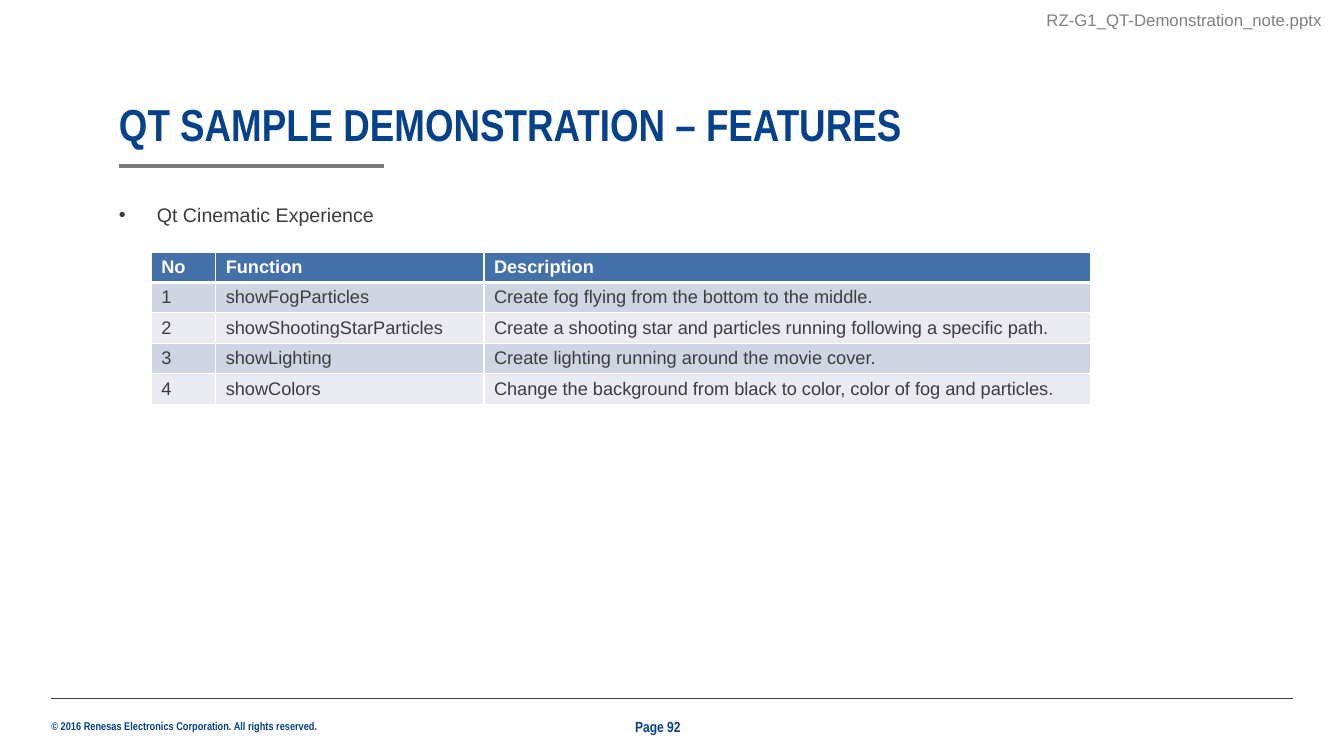
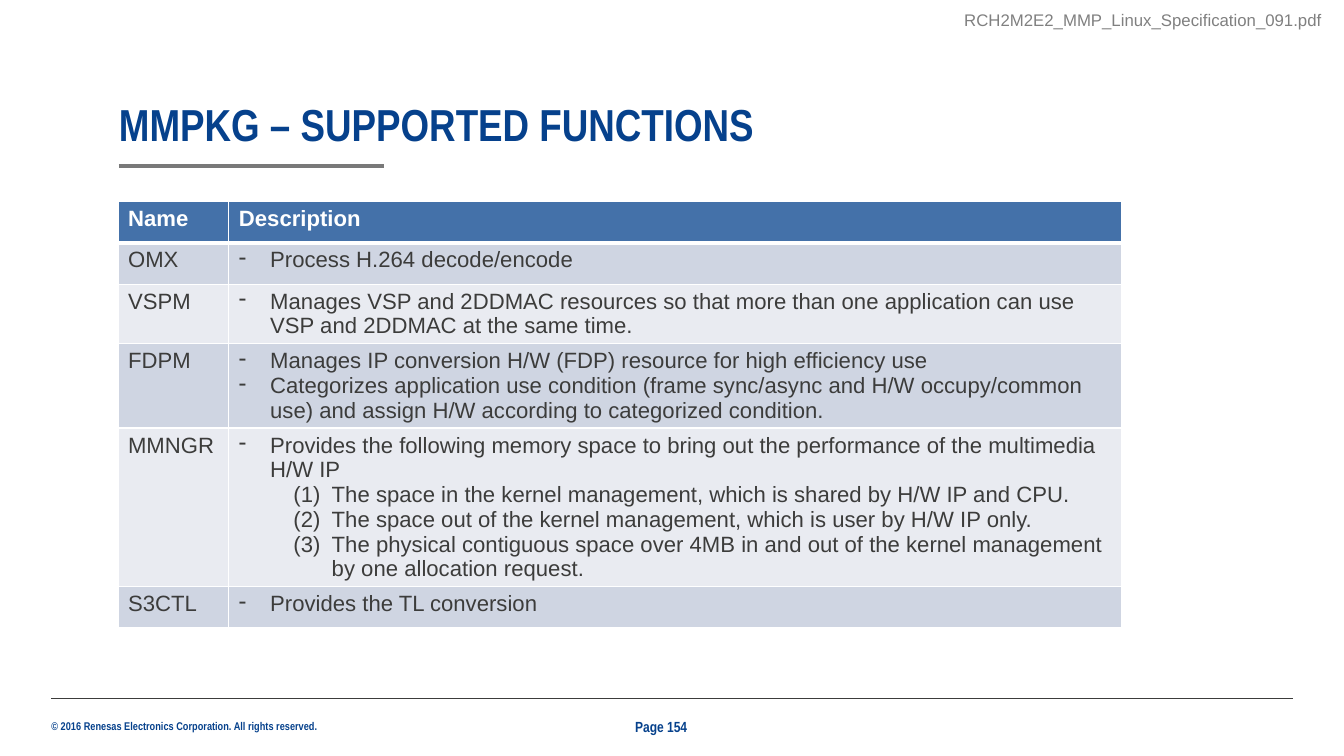
import dataclasses
import pptx
import pptx.dml.color
import pptx.enum.shapes
import pptx.enum.text
import pptx.oxml
import pptx.oxml.ns
import pptx.util
from lxml import etree

ALIGN = pptx.enum.text.PP_ALIGN
ANCHOR = pptx.enum.text.MSO_ANCHOR
EMU_PER_PX = 9144


def px(length):
    return pptx.util.Emu(length * EMU_PER_PX)


def rgb(color):
    return pptx.dml.color.RGBColor.from_string(color)


def add_element(parent, tag, **attributes):
    return etree.SubElement(parent, pptx.oxml.ns.qn(tag), attributes)


@dataclasses.dataclass(frozen=True)
class TextStyle:
    size: float
    color: str
    face: str = "Arial"
    bold: bool = False


@dataclasses.dataclass(frozen=True)
class Theme:
    white: str = "FFFFFF"
    ink: str = "3C3C3B"
    accent: str = "797979"
    header_fill: str = "4471A9"
    band_fills: tuple = ("CFD5E2", "E9EBF1")
    title: TextStyle = TextStyle(32, "06418C", "Arial Narrow", True)
    page: TextStyle = TextStyle(10.5, "06418C", "Arial Narrow", True)
    copyright: TextStyle = TextStyle(8, "06418C", "Arial Narrow", True)
    source: TextStyle = TextStyle(12, "808080")
    body: TextStyle = TextStyle(14, "3C3C3B")


@dataclasses.dataclass(frozen=True)
class Item:
    text: str
    numbered: bool = False


class Deck:
    def __init__(self, theme):
        self.theme = theme
        self.presentation = pptx.Presentation()
        self.presentation.slide_width = px(1333)
        self.presentation.slide_height = px(750)
        self.slide = None

    def start_slide(self, title, page, source, layout):
        layouts = self.presentation.slide_layouts
        self.slide = self.presentation.slides.add_slide(layouts.get_by_name(layout))
        self.text("© 2016 Renesas Electronics Corporation. All rights reserved.",
                  (51, 714, 268, 13), self.theme.copyright, wrap=False)
        self.line((51, 693), (1282, 693), self.theme.ink, 0.5)
        self.line((118, 165), (381, 165), self.theme.accent, 3)
        self.title(title)
        self.text(f"Page {page}", (630, 712, 73, 18), self.theme.page,
                  anchor=ANCHOR.MIDDLE)
        self.text(source, (483, 5, 838, 30), self.theme.source,
                  insets=(10, 5), align=ALIGN.RIGHT)

    def style_paragraph(self, para, style):
        font = para.font
        font.name = style.face
        font.size = pptx.util.Pt(style.size)
        font.bold = style.bold
        font.color.rgb = rgb(style.color)

    def fill_box(self, box, text, bounds, style, insets=(0, 0),
                 anchor=ANCHOR.TOP, align=ALIGN.LEFT, wrap=True):
        box.left, box.top, box.width, box.height = map(px, bounds)
        frame = box.text_frame
        frame.word_wrap = wrap
        frame.auto_size = pptx.enum.text.MSO_AUTO_SIZE.NONE
        frame.vertical_anchor = anchor
        frame.margin_left = frame.margin_right = px(insets[0])
        frame.margin_top = frame.margin_bottom = px(insets[1])
        frame.text = text
        para = frame.paragraphs[0]
        para.alignment = align
        self.style_paragraph(para, style)
        return para

    def text(self, text, bounds, style, **options):
        box = self.slide.shapes.add_textbox(*map(px, bounds))
        self.fill_box(box, text, bounds, style, **options)

    def title(self, text):
        para = self.fill_box(self.slide.shapes.title, text, (118, 102, 932, 48),
                             self.theme.title, anchor=ANCHOR.BOTTOM)
        para.line_spacing = 0.9

    def body(self, text):
        box = self.slide.placeholders[1]
        box.text_frame.text = text
        properties = box.text_frame.paragraphs[0]._p.get_or_add_pPr()
        properties.set("marL", "0")
        properties.set("indent", "0")
        add_element(properties, "a:buNone")
        para = self.fill_box(box, text, (118, 197, 984, 26), self.theme.body)
        para.line_spacing = 1.2
        para.space_before = pptx.util.Pt(0)
        para.space_after = pptx.util.Pt(18)

    def line(self, start, end, color, width):
        connector = self.slide.shapes.add_connector(
            pptx.enum.shapes.MSO_CONNECTOR.STRAIGHT, *map(px, start + end))
        connector.line.color.rgb = rgb(color)
        connector.line.width = pptx.util.Pt(width)
        add_element(connector._element.spPr, "a:effectLst")

    def cell_borders(self, cell, row):
        properties = cell._tc.get_or_add_tcPr()
        widths = {"L": 1, "R": 1, "T": 3 if row == 1 else 1, "B": 3 if row == 0 else 1}
        for side, width in widths.items():
            border = add_element(properties, f"a:ln{side}", w=str(pptx.util.Pt(width)))
            fill = add_element(border, "a:solidFill")
            add_element(fill, "a:srgbClr", val=self.theme.white)

    def bullet(self, para, numbered):
        margin, hanging = (92, 38) if numbered else (31, 31)
        para.level = int(numbered)
        properties = para._p.get_or_add_pPr()
        properties.set("marL", str(px(margin)))
        properties.set("indent", str(px(-hanging)))
        if numbered:
            add_element(properties, "a:buAutoNum", type="arabicParenBoth")
        else:
            add_element(properties, "a:buChar", char="-")

    def fill_cell(self, cell, content, row, size):
        header = row == 0
        self.cell_borders(cell, row)
        cell.fill.solid()
        cell.fill.fore_color.rgb = rgb(
            self.theme.header_fill if header else self.theme.band_fills[(row - 1) % 2])
        cell.margin_left = cell.margin_right = px(10)
        cell.margin_top = cell.margin_bottom = px(5)
        style = TextStyle(size, self.theme.white if header else self.theme.ink, bold=header)
        items = [content] if isinstance(content, str) else content
        frame = cell.text_frame
        for index, item in enumerate(items):
            para = frame.add_paragraph() if index else frame.paragraphs[0]
            if isinstance(item, Item):
                para.text = item.text
                self.bullet(para, item.numbered)
            else:
                para.text = item
            self.style_paragraph(para, style)

    def table(self, rows, position, column_widths, row_height, size):
        bounds = position + (sum(column_widths), row_height * len(rows))
        table = self.slide.shapes.add_table(
            len(rows), len(column_widths), *map(px, bounds)).table
        for column, width in zip(table.columns, column_widths):
            column.width = px(width)
        for row_index, contents in enumerate(rows):
            table.rows[row_index].height = px(row_height)
            for column_index, content in enumerate(contents):
                self.fill_cell(table.cell(row_index, column_index), content,
                               row_index, size)


def build_features(deck):
    deck.start_slide("QT SAMPLE DEMONSTRATION – FEATURES", 92,
                     "RZ-G1_QT-Demonstration_note.pptx", "Title and Content")
    deck.body("Qt Cinematic Experience")
    deck.table([
        ("No", "Function", "Description"),
        ("1", "showFogParticles", "Create fog flying from the bottom to the middle."),
        ("2", "showShootingStarParticles",
         "Create a shooting star and particles running following a specific path."),
        ("3", "showLighting", "Create lighting running around the movie cover."),
        ("4", "showColors",
         "Change the background from black to color, color of fog and particles."),
    ], (150, 250), (64, 266, 602), 30, 13)


def build_functions(deck):
    deck.start_slide("MMPKG – SUPPORTED FUNCTIONS", 154,
                     "RCH2M2E2_MMP_Linux_Specification_091.pdf", "Title Only")
    deck.table([
        ("Name", "Description"),
        ("OMX", [Item("Process H.264 decode/encode")]),
        ("VSPM", [Item("Manages VSP and 2DDMAC resources so that more than one "
                       "application can use VSP and 2DDMAC at the same time.")]),
        ("FDPM", [
            Item("Manages IP conversion H/W (FDP) resource for high efficiency use"),
            Item("Categorizes application use condition (frame sync/async and H/W "
                 "occupy/common use) and assign H/W according to categorized condition."),
        ]),
        ("MMNGR", [
            Item("Provides the following memory space to bring out the performance "
                 "of the multimedia H/W IP"),
            Item("The space in the kernel management, which is shared by H/W IP and CPU.",
                 True),
            Item("The space out of the kernel management, which is user by H/W IP only.",
                 True),
            Item("The physical contiguous space over 4MB in and out of the kernel "
                 "management by one allocation request.", True),
        ]),
        ("S3CTL", [Item("Provides the TL conversion")]),
    ], (117, 200), (110, 885), 41, 15.8)


def main():
    deck = Deck(Theme())
    build_features(deck)
    build_functions(deck)
    deck.presentation.save("out.pptx")


if __name__ == "__main__":
    main()
